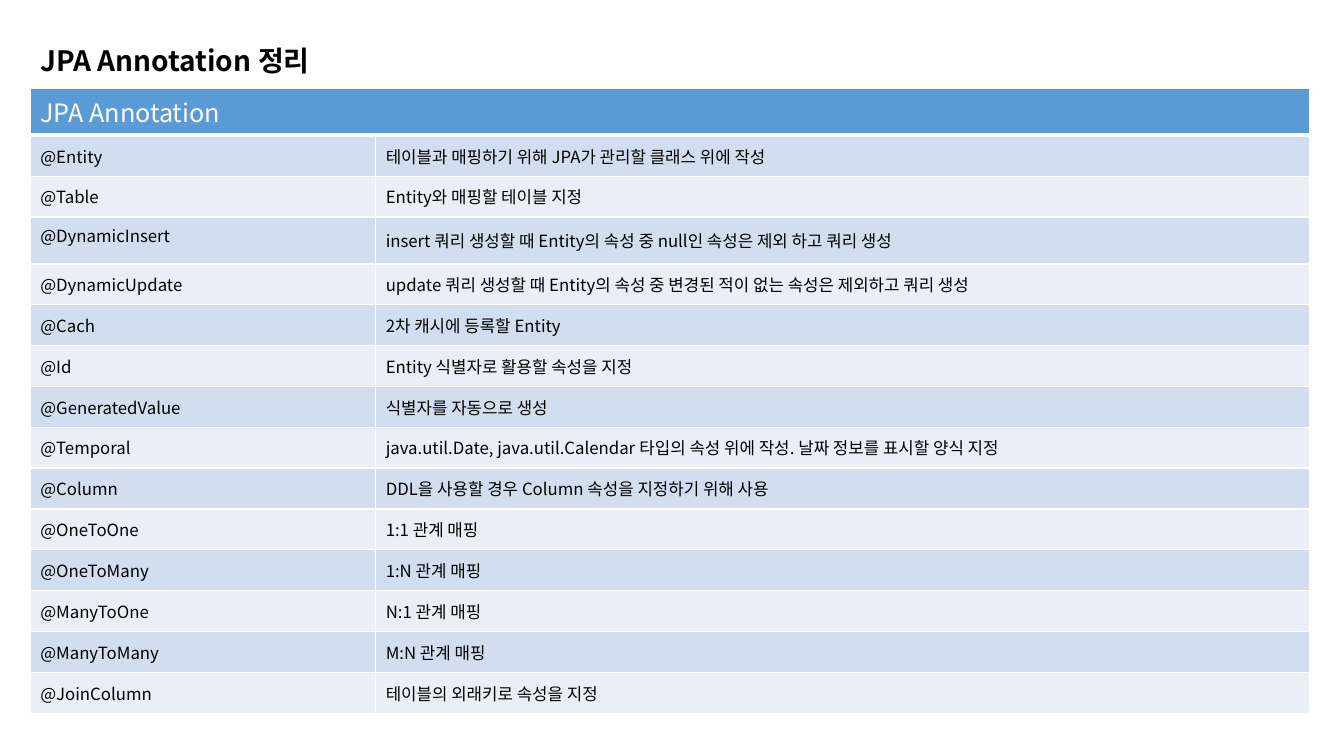
from lxml import etree
from pptx import Presentation
from pptx import util as u
from pptx.dml.color import RGBColor
from pptx.enum import text
from pptx.oxml import ns

FONT = "Noto Sans CJK KR"
BLACK, WHITE = "000000", "FFFFFF"
HEADER_BLUE, BANDS = "5B9BD5", ("D2DEEF", "EAEFF7")
HEADING = "JPA Annotation"
ANNOTATIONS = [
    ("@Entity", "테이블과 매핑하기 위해 JPA가 관리할 클래스 위에 작성"),
    ("@Table", "Entity와 매핑할 테이블 지정"),
    ("@DynamicInsert", "insert 쿼리 생성할 때 Entity의 속성 중 null인 속성은 제외 하고 쿼리 생성"),
    ("@DynamicUpdate", "update 쿼리 생성할 때 Entity의 속성 중 변경된 적이 없는 속성은 제외하고 쿼리 생성"),
    ("@Cach", "2차 캐시에 등록할 Entity"),
    ("@Id", "Entity 식별자로 활용할 속성을 지정"),
    ("@GeneratedValue", "식별자를 자동으로 생성"),
    ("@Temporal", "java.util.Date, java.util.Calendar 타입의 속성 위에 작성. 날짜 정보를 표시할 양식 지정"),
    ("@Column", "DDL을 사용할 경우 Column 속성을 지정하기 위해 사용"),
    ("@OneToOne", "1:1 관계 매핑"),
    ("@OneToMany", "1:N 관계 매핑"),
    ("@ManyToOne", "N:1 관계 매핑"),
    ("@ManyToMany", "M:N 관계 매핑"),
    ("@JoinColumn", "테이블의 외래키로 속성을 지정"),
]
TALL_ROW = 3            # the @DynamicInsert row
TALL_SHARE = 1.15       # its height against a normal row
NAME_SHARE = 0.27       # width of the annotation column


def rgb(hex_string):
    return RGBColor.from_string(hex_string)


def write(frame, words, color=BLACK, **formats):
    """Put one formatted run into a text frame, for Latin and Korean letters."""
    paragraph = frame.paragraphs[0]
    paragraph.alignment = text.PP_ALIGN.LEFT
    run = paragraph.add_run()
    run.text = words
    run.font.color.rgb = rgb(color)
    for key, value in {"name": FONT, "bold": False, **formats}.items():
        setattr(run.font, key, value)
    etree.SubElement(run.font._element, ns.qn("a:ea"), typeface=FONT)


def draw_borders(cell, **widths):
    """White cell borders, 1 pt unless a side is given another width."""
    properties = cell._tc.get_or_add_tcPr()
    for side in "LRTB":
        line = etree.SubElement(properties, ns.qn(f"a:ln{side}"),
                                w=str(u.Pt(widths.get(side, 1))))
        fill = etree.SubElement(line, ns.qn("a:solidFill"))
        etree.SubElement(fill, ns.qn("a:srgbClr"), val=WHITE)


def paint(cell, color, **widths):
    draw_borders(cell, **widths)
    cell.fill.solid()
    cell.fill.fore_color.rgb = rgb(color)


def place_title(slide, left, top, width, height):
    title = slide.shapes.title
    box = {"left": left, "top": top, "width": width, "height": height}
    for key, value in box.items():
        setattr(title, key, u.Inches(value))
    title.text_frame.vertical_anchor = text.MSO_ANCHOR.MIDDLE
    write(title.text_frame, "JPA Annotation 정리", size=u.Pt(20), bold=True)


def place_annotations(slide, left, top, width, height):
    row_count = len(ANNOTATIONS) + 1
    table = slide.shapes.add_table(
        row_count, 2, *map(u.Inches, (left, top, width, height))).table
    table.first_row = table.horz_banding = False

    # Column widths and row heights
    for column, share in zip(table.columns, (NAME_SHARE, 1 - NAME_SHARE)):
        column.width = u.Inches(width * share)
    row_height = height / (row_count - 1 + TALL_SHARE)
    for number, row in enumerate(table.rows):
        row.height = u.Inches(row_height * (TALL_SHARE if number == TALL_ROW else 1))

    # Heading across both columns
    heading = table.cell(0, 0)
    heading.merge(table.cell(0, 1))
    for cell in (heading, table.cell(0, 1)):
        paint(cell, HEADER_BLUE, B=3)
    write(heading.text_frame, HEADING, WHITE, size=u.Pt(18))

    # Banded rows: annotation and meaning
    for number, entry in enumerate(ANNOTATIONS, 1):
        for column, words in enumerate(entry):
            cell = table.cell(number, column)
            paint(cell, BANDS[(number - 1) % 2], T=3 if number == 1 else 1)
            cell.vertical_anchor = text.MSO_ANCHOR.MIDDLE
            write(cell.text_frame, words, size=u.Pt(12))
    table.cell(TALL_ROW, 0).margin_bottom = u.Inches(0.16)


def main():
    deck = Presentation()
    deck.slide_width, deck.slide_height = u.Inches(13.33), u.Inches(7.5)
    slide = deck.slides.add_slide(deck.slide_layouts[5])
    place_title(slide, 0.3, 0.38, 4.11, 0.44)
    place_annotations(slide, 0.3, 0.88, 12.69, 6.14)
    deck.save("out.pptx")


if __name__ == "__main__":
    main()
